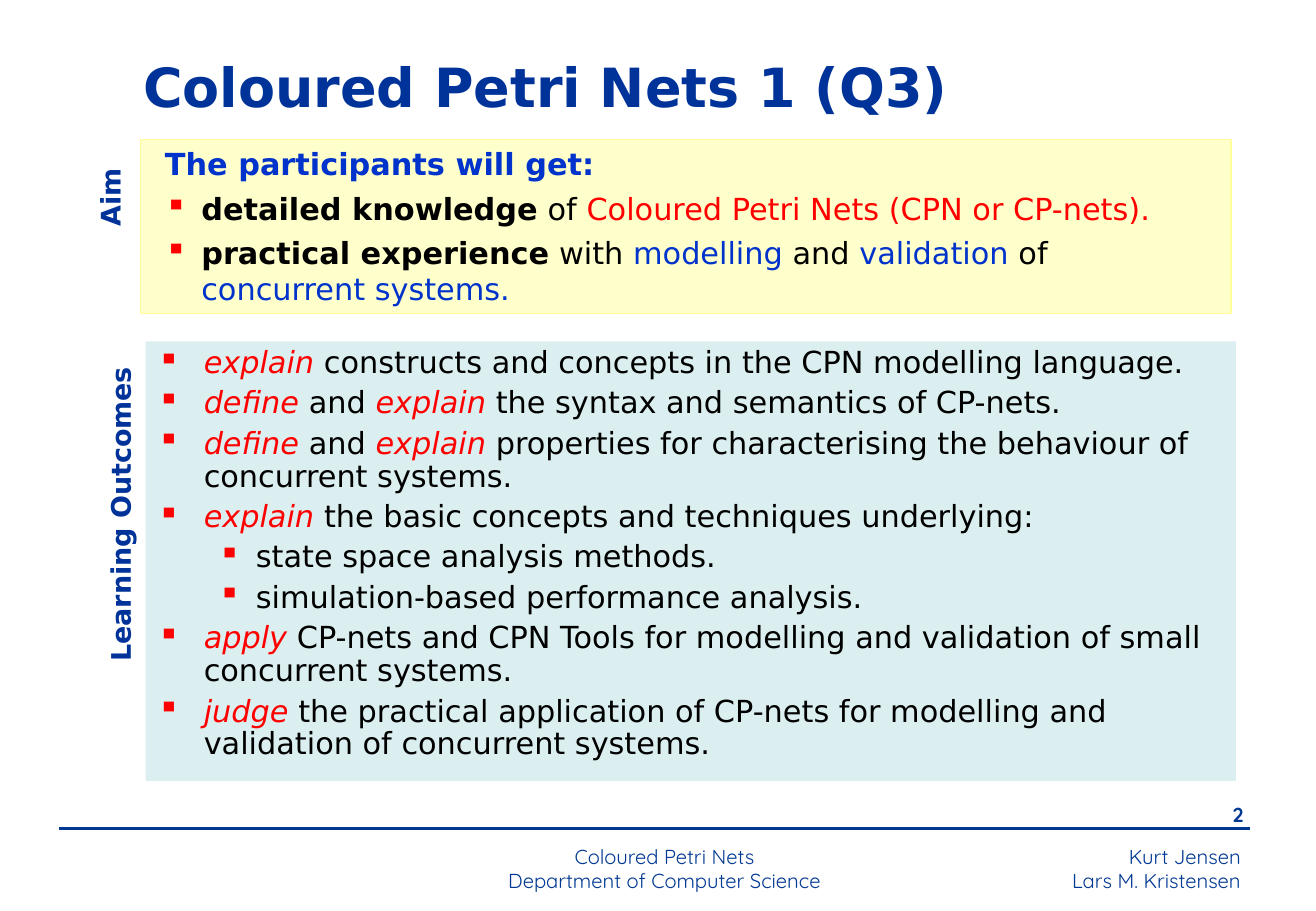
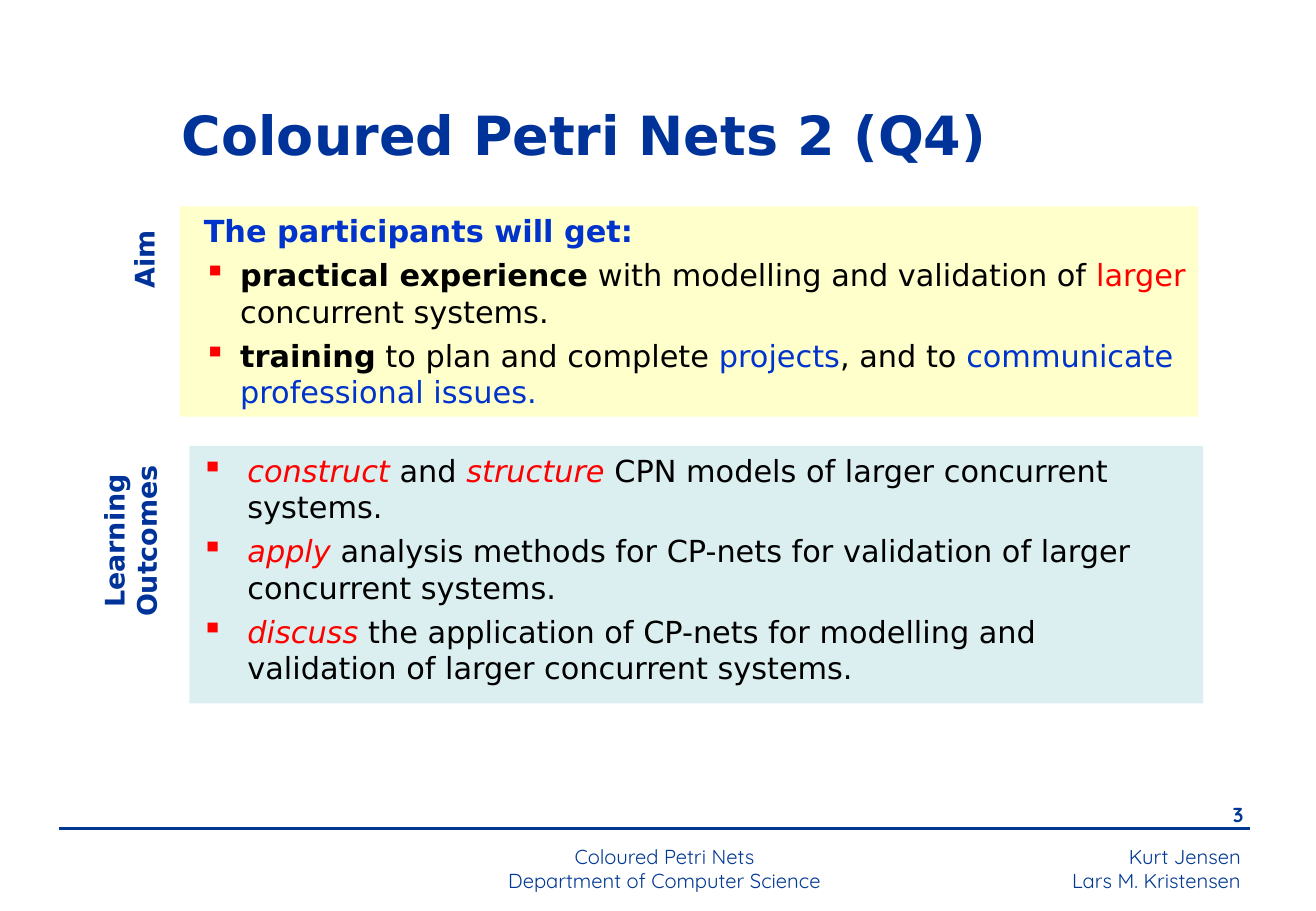
from dataclasses import dataclass

from lxml import etree
from pptx import Presentation
from pptx import util as u
from pptx.dml import color
from pptx.enum import shapes, text
from pptx.oxml import ns

PX = 9144


@dataclass(frozen=True)
class Theme:
    title: str = "003399"
    footer: str = "003893"
    black: str = "000000"
    red: str = "FF0000"
    blue: str = "0033CC"
    aim_fill: str = "FFFF99"
    outcome_fill: str = "BBE0E3"
    main_font: str = "DejaVu Sans"
    footer_font: str = "Quicksand"
    title_size: int = 32
    body_size: int = 18
    label_size: int = 16
    footer_size: int = 12
    paragraph_gap: float = 4.5


THEME = Theme()
SPAN_STYLES = {
    "strong": {"bold": True},
    "verb": {"tint": THEME.red, "italic": True},
    "red": {"tint": THEME.red},
    "blue": {"tint": THEME.blue},
}
HEADING = [("The participants will get:", "blue")]


@dataclass(frozen=True)
class Indent:
    left: int
    hanging: int
    level: int = 0


AIM_INDENT = Indent(40, 30)
OUTCOME_INDENT = Indent(38, 38)
SUB_INDENT = Indent(81, 31, 1)


def rgb(value):
    return color.RGBColor.from_string(value)


def set_font(font, size, tint, name=THEME.main_font, bold=False):
    font.name, font.size, font.bold = name, u.Pt(size), bold
    font.color.rgb = rgb(tint)


def add_element(parent, tag, **attributes):
    return etree.SubElement(parent, ns.qn(tag), attributes)


def add_box(page, area, anchor=text.MSO_ANCHOR.TOP):
    box = page.shapes.add_textbox(*(side * PX for side in area))
    box.text_frame.word_wrap = True
    box.text_frame.vertical_anchor = anchor
    return box


def next_paragraph(frame, index):
    return frame.add_paragraph() if index else frame.paragraphs[0]


def add_lines(page, area, lines, align, **font):
    frame = add_box(page, area).text_frame
    for index, line in enumerate(lines):
        para = next_paragraph(frame, index)
        para.text = line
        para.alignment = align
        set_font(para.font, THEME.footer_size, THEME.footer, THEME.footer_font, **font)


def add_footer(page, number):
    right, center = text.PP_ALIGN.RIGHT, text.PP_ALIGN.CENTER
    add_lines(page, (695, 690, 337, 50), ["Kurt Jensen", "Lars M. Kristensen"], right)
    add_lines(page, (963, 656, 71, 33), [str(number)], right, bold=True)
    add_lines(page, (341, 690, 413, 47),
              ["Coloured Petri Nets", "Department of Computer Science"], center)
    rule = page.shapes.add_connector(
        shapes.MSO_CONNECTOR.STRAIGHT, 49 * PX, 682 * PX, 1030 * PX, 682 * PX)
    rule.line.color.rgb = rgb(THEME.footer)
    rule.line.width = u.Pt(1.5)
    add_element(rule.element.spPr, "a:effectLst")


def add_title(page, area, title):
    box = add_box(page, area, text.MSO_ANCHOR.MIDDLE)
    para = box.text_frame.paragraphs[0]
    para.text = title
    set_font(para.font, THEME.title_size, THEME.title, bold=True)


def add_side_label(page, area, label):
    box = add_box(page, area, text.MSO_ANCHOR.MIDDLE)
    box.rotation = 270
    para = box.text_frame.paragraphs[0]
    para.text = label
    para.alignment = text.PP_ALIGN.CENTER
    set_font(para.font, THEME.label_size, THEME.title, bold=True)


def add_panel(page, area, fill):
    box = add_box(page, area)
    box.fill.solid()
    box.fill.fore_color.rgb = rgb(fill)
    tint = box.element.spPr.find(ns.qn("a:solidFill"))[0]
    add_element(tint, "a:alpha", val="50000")
    return box


def add_span(para, words, style):
    span = para.add_run()
    span.text = words
    look = SPAN_STYLES.get(style, {})
    if "tint" in look:
        span.font.color.rgb = rgb(look["tint"])
    if "bold" in look:
        span.font.bold = True
    if "italic" in look:
        span.font.italic = True


def fill_paragraph(para, spans, indent, first, bullet=True, spacing=None):
    para.level = indent.level
    properties = para._p.get_or_add_pPr()
    properties.set("marL", str(indent.left * PX))
    properties.set("indent", str(-indent.hanging * PX))
    if bullet:
        add_element(add_element(properties, "a:buClr"), "a:srgbClr", val=THEME.red)
        add_element(properties, "a:buChar", char="▪")
    if not first:
        para.space_before = u.Pt(THEME.paragraph_gap)
    if spacing:
        para.line_spacing = spacing
    set_font(para.font, THEME.body_size, THEME.black, bold=not bullet)
    for words, style in spans:
        add_span(para, words, style)


def add_aim(page, area, items, outlined=False):
    box = add_panel(page, area, THEME.aim_fill)
    if outlined:
        box.line.color.rgb = rgb(THEME.aim_fill)
        box.line.width = u.Pt(0.75)
    for index, spans in enumerate([HEADING, *items]):
        para = next_paragraph(box.text_frame, index)
        fill_paragraph(para, spans, AIM_INDENT, index == 0, bullet=index > 0)


def add_outcomes(page, area, items, spacing=None):
    box = add_panel(page, area, THEME.outcome_fill)
    for index, item in enumerate(items):
        is_sub = isinstance(item, str)
        spans = [(item, "plain")] if is_sub else item
        indent = SUB_INDENT if is_sub else OUTCOME_INDENT
        para = next_paragraph(box.text_frame, index)
        fill_paragraph(para, spans, indent, index == 0, spacing=spacing)


def add_page(deck, number):
    page = deck.slides.add_slide(deck.slide_layouts[6])
    add_footer(page, number)
    return page


def build_first_course(deck):
    page = add_page(deck, 2)
    add_title(page, (108, 32, 975, 77), "Coloured Petri Nets 1 (Q3)")
    add_aim(page, (116, 115, 898, 143), [
        [("detailed knowledge", "strong"), (" of ", "plain"),
         ("Coloured Petri Nets (CPN or CP-nets).", "red")],
        [("practical experience", "strong"), (" with ", "plain"),
         ("modelling ", "blue"), ("and", "plain"), (" validation", "blue"),
         (" of ", "plain"), ("concurrent systems.", "blue")],
    ], outlined=True)
    add_outcomes(page, (120, 281, 898, 362), [
        [("explain", "verb"),
         (" constructs and concepts in the CPN modelling language.", "plain")],
        [("define", "verb"), (" and ", "plain"), ("explain", "verb"),
         (" the syntax and semantics of CP-nets.", "plain")],
        [("define", "verb"), (" and ", "plain"), ("explain", "verb"),
         (" properties for characterising the behaviour of concurrent systems.", "plain")],
        [("explain ", "verb"),
         ("the basic concepts and techniques underlying:", "plain")],
        "state space analysis methods.",
        "simulation-based performance analysis.",
        [("apply", "verb"),
         (" CP-nets and CPN Tools for modelling and validation of small"
          " concurrent systems.", "plain")],
        [("judge ", "verb"),
         ("the practical application of CP-nets for modelling and validation"
          " of concurrent systems.", "plain")],
    ], spacing=0.9)
    add_side_label(page, (51, 145, 79, 35), "Aim")
    add_side_label(page, (-41, 406, 280, 35), "Learning Outcomes")


def build_second_course(deck):
    page = add_page(deck, 3)
    add_title(page, (140, 72, 851, 77), "Coloured Petri Nets 2 (Q4)")
    add_aim(page, (148, 170, 839, 173), [
        [("practical experience", "strong"),
         (" with modelling and validation of ", "plain"),
         ("larger ", "red"), ("concurrent systems.", "plain")],
        [("training", "strong"), (" to plan and complete ", "plain"),
         ("projects", "blue"), (", and to ", "plain"),
         ("communicate professional issues.", "blue")],
    ])
    add_outcomes(page, (156, 367, 835, 212), [
        [("construct", "verb"), (" and ", "plain"), ("structure", "verb"),
         (" CPN models of larger concurrent systems.", "plain")],
        [("apply", "verb"),
         (" analysis methods for CP-nets for validation of larger"
          " concurrent systems.", "plain")],
        [("discuss", "verb"),
         (" the application of CP-nets for modelling and validation of larger"
          " concurrent systems.", "plain")],
    ])
    add_side_label(page, (79, 196, 79, 35), "Aim")
    add_side_label(page, (28, 428, 158, 35), "Learning\vOutcomes")


def main():
    deck = Presentation()
    deck.slide_width, deck.slide_height = 1084 * PX, 750 * PX
    build_first_course(deck)
    build_second_course(deck)
    deck.save("out.pptx")


if __name__ == "__main__":
    main()
